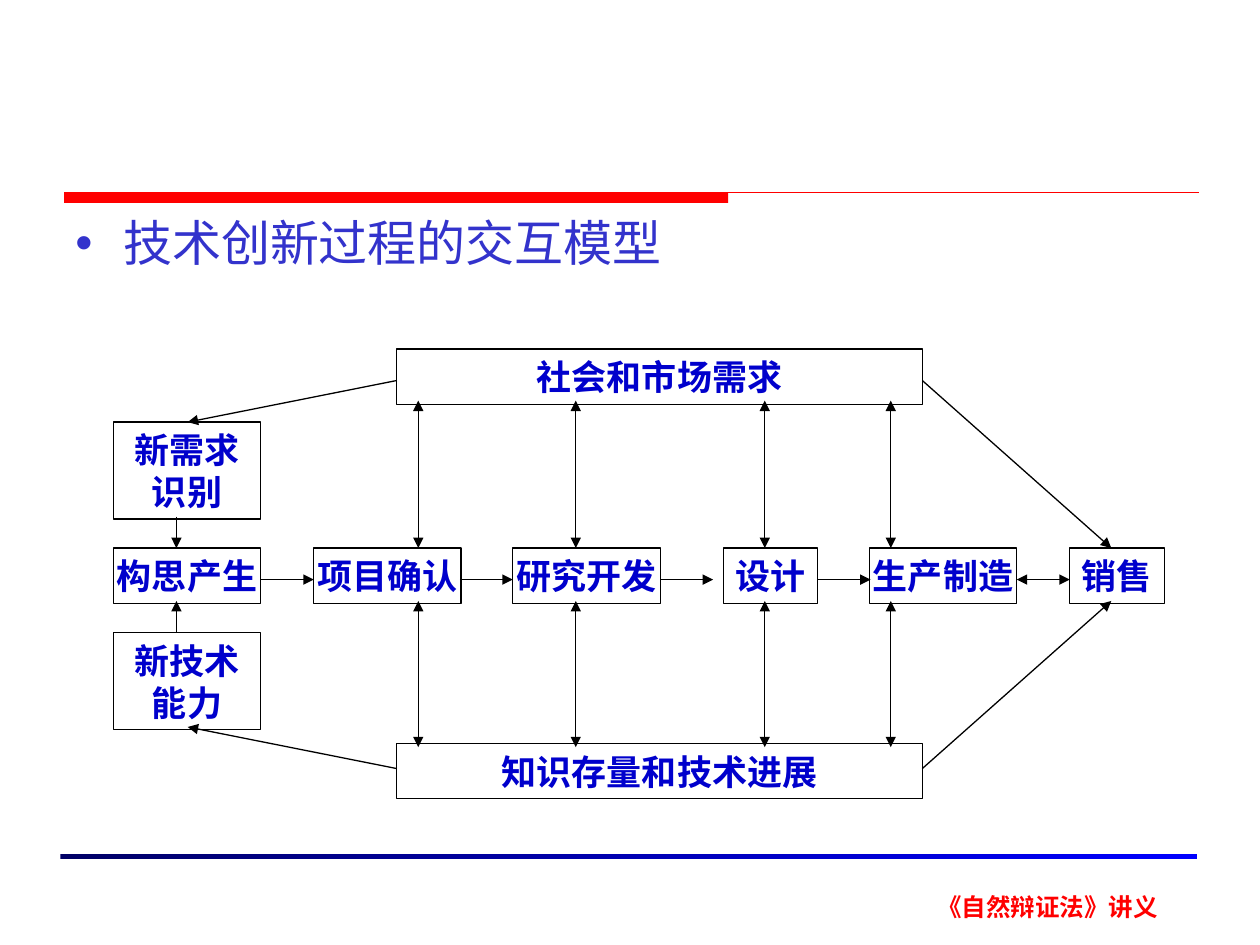
"""Build the slide on the interactive model of technological innovation."""
from lxml import etree
from pptx import Presentation
from pptx.dml.color import RGBColor
from pptx.enum import shapes, text
from pptx.oxml.ns import qn
from pptx.util import Inches, Pt


def rgb(value):
    return RGBColor.from_string(value)


def write(sp, words, size, font, color, bold, align, margin=0.1):
    tf = sp.text_frame
    tf.margin_left = tf.margin_right = Inches(margin)
    tf.margin_top = tf.margin_bottom = Inches(0.05)
    tf.word_wrap = True
    p = tf.paragraphs[0]
    p.alignment = align
    r = p.add_run()
    r.text = words
    p.font.size = r.font.size = Pt(size)
    p.font.bold = r.font.bold = bold
    r.font.name = font
    r.font.color.rgb = rgb(color)
    etree.SubElement(r.font._element, qn("a:ea"), typeface="Arial")
    return tf


prs = Presentation()
prs.slide_width, prs.slide_height = Inches(10), Inches(7.5)
s = prs.slides.add_slide(prs.slide_layouts[6])
center, left = text.PP_ALIGN.CENTER, text.PP_ALIGN.LEFT

footer = s.shapes.add_textbox(Inches(7.34), Inches(7.03), Inches(1.95), Inches(0.34))
tf = write(footer, "《自然辩证法》讲义", 14, "Arial", "FF0000", True, center, 0)
tf.word_wrap = False

band = s.shapes.add_shape(shapes.MSO_SHAPE.RECTANGLE, Inches(0.51), Inches(1.53), Inches(5.27), Inches(0.08))
band.shadow.inherit = False
band.fill.solid()
band.fill.fore_color.rgb = rgb("FF0000")
band.line.fill.background()

rule = s.shapes.add_shape(shapes.MSO_SHAPE.RECTANGLE, Inches(0.48), Inches(6.78), Inches(9.02), Inches(0.04))
rule.shadow.inherit = False
rule.fill.gradient()
rule.fill.gradient_angle = 0
for stop, position, color in zip(rule.fill.gradient_stops, (0, 1), ("000066", "0000FF")):
    stop.position = position
    stop.color.rgb = rgb(color)
rule.line.fill.background()

body = s.shapes.add_textbox(Inches(0.5), Inches(1.64), Inches(9), Inches(5.12))
tf = write(body, "技术创新过程的交互模型", 28, "Arial", "3333CC", False, left)
p = tf.paragraphs[0]
p.space_before = Pt(7)
pPr = p._p.get_or_add_pPr()
pPr.set("marL", str(Inches(0.38)))
pPr.set("indent", str(-Inches(0.38)))
bullet_color = etree.Element(qn("a:buClr"))
etree.SubElement(bullet_color, qn("a:srgbClr"), val="3333CC")
bullet_font = etree.Element(qn("a:buFont"), typeface="Arial")
bullet = etree.Element(qn("a:buChar"), char="•")
for i, element in enumerate((bullet_color, bullet_font, bullet), 1):
    pPr.insert(i, element)

boxes = [
    ("社会和市场需求", 3.15, 2.77, 4.17, 0.44, 0.1),
    ("知识存量和技术进展", 3.15, 5.9, 4.17, 0.44, 0.1),
    ("新需求识别", 0.9, 3.35, 1.17, 0.77, 0.1),
    ("新技术能力", 0.9, 5.02, 1.17, 0.77, 0.1),
]
stages = [("构思产生", 0.9, 1.17), ("项目确认", 2.49, 1.17), ("研究开发", 4.07, 1.17),
          ("设计", 5.74, 0.75), ("生产制造", 6.9, 1.17), ("销售", 8.49, 0.75)]
boxes += [(words, x, 4.35, w, 0.44, 0) for words, x, w in stages]
for words, x, y, w, h, margin in boxes:
    sp = s.shapes.add_shape(shapes.MSO_SHAPE.RECTANGLE, Inches(x), Inches(y), Inches(w), Inches(h))
    sp.shadow.inherit = False
    sp.fill.background()
    sp.line.color.rgb = rgb("000000")
    sp.line.width = Pt(0.75)
    tf = write(sp, words, 20, "Times New Roman", "0000CC", True, center, margin)
    tf.vertical_anchor = text.MSO_ANCHOR.MIDDLE

one_way, two_way = ("tailEnd",), ("headEnd", "tailEnd")
lines = [(0.51, 1.53, 9.52, 1.53, "FF0000", ())]
arrows = [
    (3.15, 3.02, 1.49, 3.35), (3.15, 6.1, 1.49, 5.77),
    (7.32, 3.02, 8.82, 4.35), (7.32, 6.1, 8.82, 4.77),
    (1.4, 4.1, 1.4, 4.35), (1.4, 5.02, 1.4, 4.77),
]
arrows += [(x, 4.6, x + 0.42, 4.6) for x in (2.07, 3.65, 5.24, 6.49)]
lines += [(*arrow, "000000", one_way) for arrow in arrows]
lines.append((8.07, 4.6, 8.49, 4.6, "000000", two_way))
for x in (3.32, 4.57, 6.07, 7.07):
    for top, bottom in ((3.18, 4.35), (4.77, 5.93)):
        lines.append((x, top, x, bottom, "000000", two_way))

for x1, y1, x2, y2, color, ends in lines:
    line = s.shapes.add_connector(shapes.MSO_CONNECTOR.STRAIGHT, Inches(x1), Inches(y1), Inches(x2), Inches(y2))
    line.line.color.rgb = rgb(color)
    line.line.width = Pt(0.75)
    for end in ends:
        etree.SubElement(line.line._get_or_add_ln(), qn(f"a:{end}"), type="triangle")
    etree.SubElement(line._element.spPr, qn("a:effectLst"))

prs.save("out.pptx")
